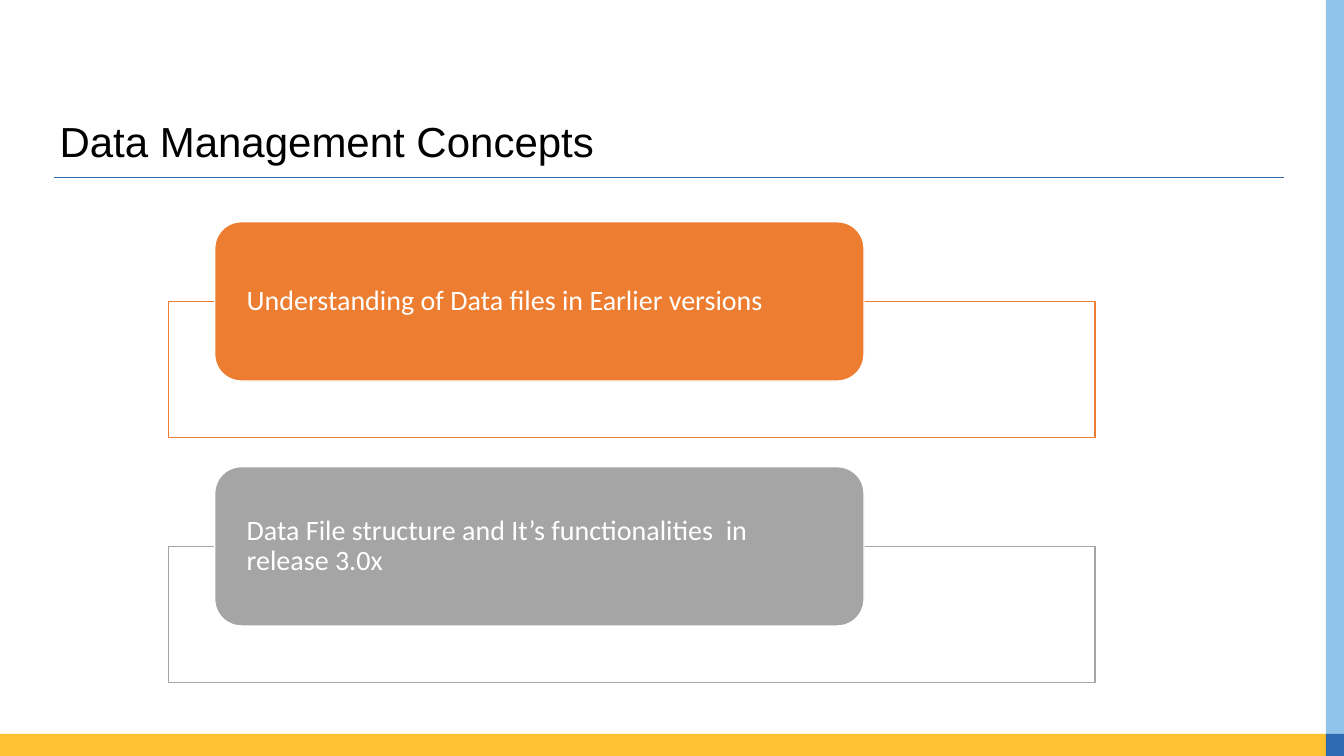
from dataclasses import dataclass

from lxml import etree
from pptx import Presentation
from pptx.dml.color import RGBColor
from pptx.enum.shapes import MSO_CONNECTOR, MSO_SHAPE
from pptx.enum.text import MSO_ANCHOR, MSO_AUTO_SIZE, PP_ALIGN
from pptx.oxml.ns import qn
from pptx.util import Pt

RECT = MSO_SHAPE.RECTANGLE
ROUND = MSO_SHAPE.ROUNDED_RECTANGLE
STRAIGHT = MSO_CONNECTOR.STRAIGHT
MIDDLE = MSO_ANCHOR.MIDDLE
LEFT = PP_ALIGN.LEFT
NO_FIT = MSO_AUTO_SIZE.NONE
PX = 9144
WIDE, HIGH = 1333, 750


@dataclass(frozen=True)
class Theme:
    head: str = "Arial"
    body: str = "Calibri"
    head_size: int = 30
    body_size: int = 20
    black: str = "000000"
    white: str = "FFFFFF"
    blue: str = "2F69B0"
    sky: str = "90C4E9"
    gold: str = "FFC031"
    orange: str = "ED7D31"
    gray: str = "A5A5A5"


THEME = Theme()
TOPICS = [
    ("Understanding of Data files in Earlier versions", THEME.orange),
    ("Data File structure and It’s functionalities  in release 3.0x", THEME.gray),
]


def px(*nums):
    return [n * PX for n in nums]


def rgb(code):
    return RGBColor.from_string(code)


def add_block(slide, kind, box, fill, line=None):
    block = slide.shapes.add_shape(kind, *px(*box))
    block.shadow.inherit = False
    block.fill.solid()
    block.fill.fore_color.rgb = rgb(fill)
    if line:
        block.line.color.rgb = rgb(line)
        block.line.width = Pt(1)
    else:
        block.line.fill.background()
    return block


def set_text(frame, text, face, size, color):
    frame.text = text
    frame.word_wrap = True
    frame.auto_size = NO_FIT
    frame.vertical_anchor = MIDDLE
    para = frame.paragraphs[0]
    para.alignment = LEFT
    para.line_spacing = 0.9
    para.font.name = face
    para.font.size = Pt(size)
    para.font.color.rgb = rgb(color)


def add_frame(slide, box):
    left, top, width, height = box
    right, base = left + width, top + height
    band = 22
    side = right - 18
    add_block(slide, RECT, (left, base - band, side - left, band), THEME.gold)
    add_block(slide, RECT, (side, top, right - side, height - band), THEME.sky)
    add_block(slide, RECT, (side, base - band, right - side, band), THEME.blue)


def add_title(slide, box, text):
    left, top, width, height = box
    title = slide.shapes.title
    title.left, title.top, title.width, title.height = px(*box)
    set_text(title.text_frame, text, THEME.head, THEME.head_size, THEME.black)
    y = top + height + 8
    rule = slide.shapes.add_connector(STRAIGHT, *px(left + 5, y, left + width + 4, y))
    rule.line.color.rgb = rgb(THEME.blue)
    rule.line.width = Pt(0.82)
    etree.SubElement(rule._element.spPr, qn("a:effectLst"))


def add_topic(slide, box, text, color):
    left, top, width, height = box
    drop = 79
    panel = add_block(slide, RECT, (left, top + drop, width, height - drop),
                      THEME.white, color)
    shade = panel._element.spPr.find(qn("a:solidFill"))[0]
    etree.SubElement(shade, qn("a:alpha"), val="90000")
    label = add_block(slide, ROUND, (left + 46, top, 644, 2 * drop), color, THEME.white)
    frame = label.text_frame
    frame.margin_left = frame.margin_right = 24 * PX
    frame.margin_top = frame.margin_bottom = 0
    set_text(frame, text, THEME.body, THEME.body_size, THEME.white)


def add_topics(slide, box, topics):
    left, top, width, height = box
    tall = 214
    step = (height - tall) // (len(topics) - 1)
    for i, (text, color) in enumerate(topics):
        add_topic(slide, (left, top + i * step, width, tall), text, color)


def main():
    deck = Presentation()
    deck.slide_width, deck.slide_height = px(WIDE, HIGH)
    slide = deck.slides.add_slide(deck.slide_layouts[5])
    add_frame(slide, (0, 0, WIDE, HIGH))
    add_title(slide, (49, 118, 1220, 50), "Data Management Concepts")
    add_topics(slide, (167, 220, 919, 457), TOPICS)
    deck.save("out.pptx")


if __name__ == "__main__":
    main()
